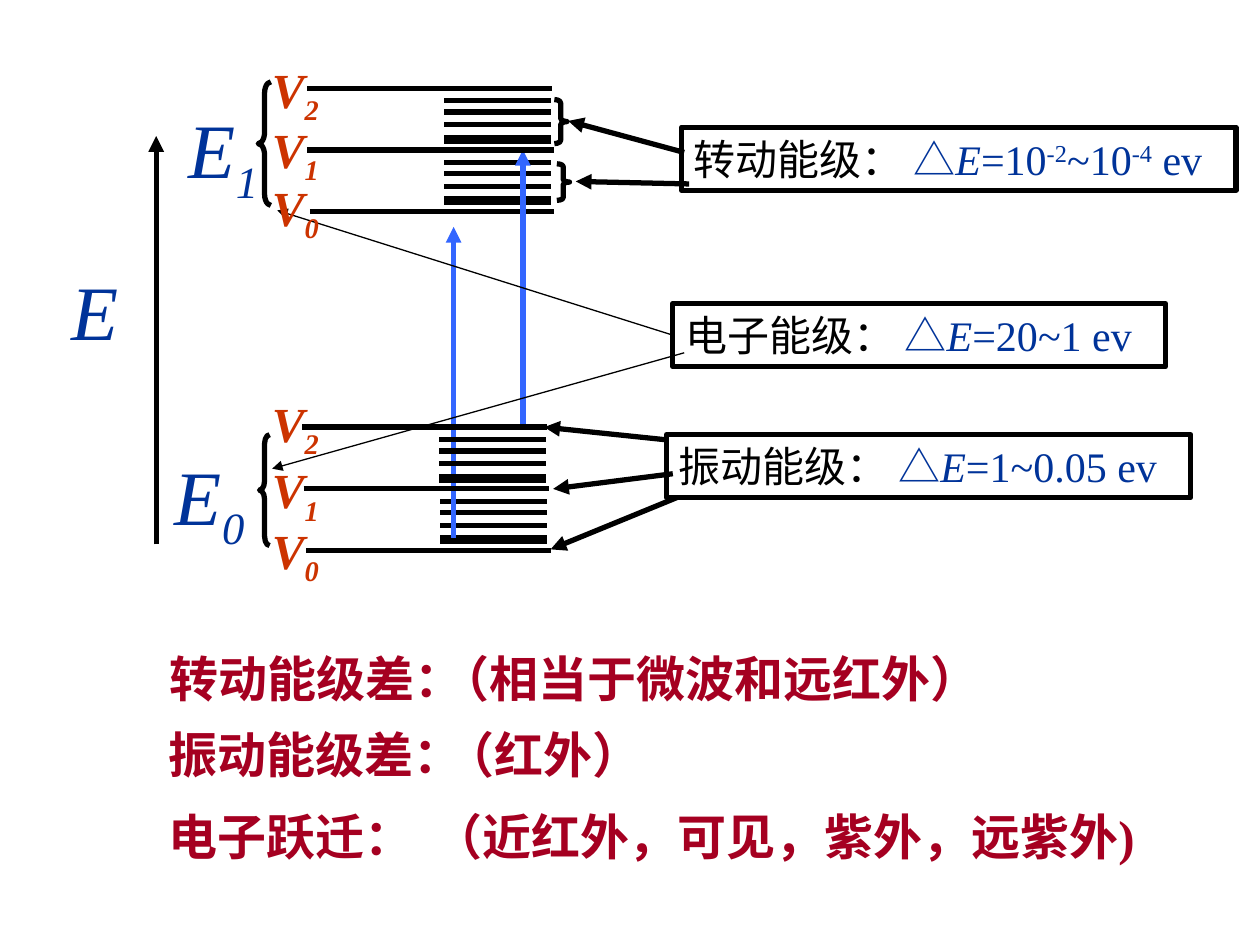
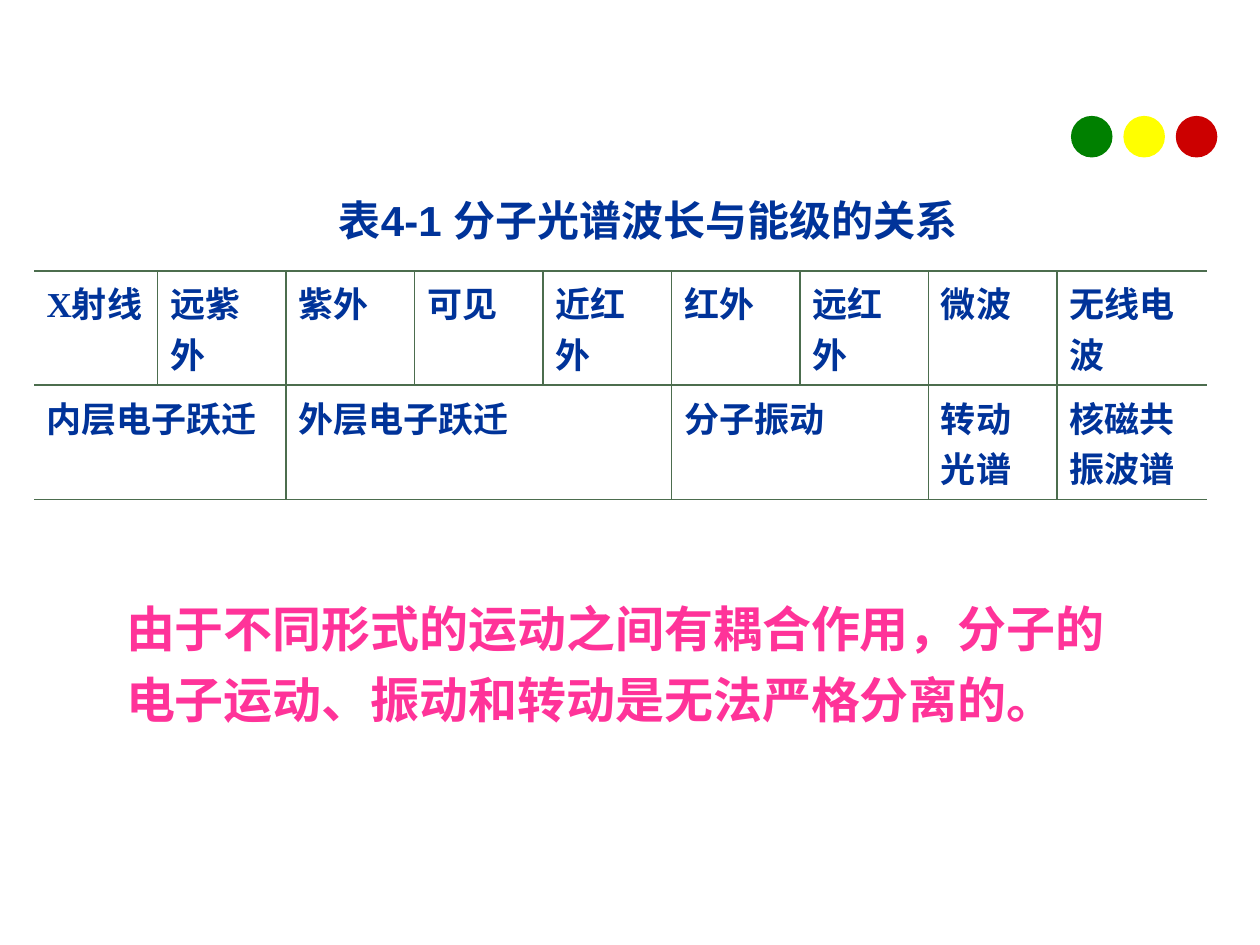
from lxml.etree import SubElement
from pptx import Presentation
from pptx.dml.color import RGBColor
from pptx.enum.shapes import MSO_CONNECTOR, MSO_SHAPE as SHAPE
from pptx.enum.text import MSO_ANCHOR as ANCHOR, MSO_AUTO_SIZE as FIT, PP_ALIGN
from pptx.oxml.ns import qn
from pptx.util import Inches, Pt

BLACK = RGBColor(0x00, 0x00, 0x00)
NAVY = RGBColor(0x00, 0x33, 0x99)
BLUE = RGBColor(0x33, 0x66, 0xFF)
ORANGE = RGBColor(0xCC, 0x33, 0x00)
CRIMSON = RGBColor(0xA5, 0x00, 0x21)
PINK = RGBColor(0xFF, 0x33, 0x99)
LIGHTS = [RGBColor(0x00, 0x80, 0x00), RGBColor(0xFF, 0xFF, 0x00), RGBColor(0xCC, 0x00, 0x00)]
RULE = "4C6D4E"

SERIF, SANS = "Times New Roman", "Arial"
COLS, ROWS = 100, 75  # grid of the slide
BLANK, TITLE_BODY = 6, 1


class Deck:
    """Holds the style and the current slide; all lengths are grid columns and rows."""

    def __init__(self):
        self.prs = Presentation()
        self.prs.slide_width, self.prs.slide_height = Inches(10), Inches(7.5)
        self.s = None

    def slide(self, layout):
        self.s = self.prs.slides.add_slide(self.prs.slide_layouts[layout])

    def x(self, cols):
        return round(self.prs.slide_width * cols / COLS)

    def y(self, rows):
        return round(self.prs.slide_height * rows / ROWS)

    def box(self, at):
        return self.x(at[0]), self.y(at[1]), self.x(at[2]), self.y(at[3])

    def style(self, r, size, color, bold=False, italic=False, font=SERIF, base=0):
        f = r.font
        f.name, f.size, f.bold, f.italic = font, Pt(size), bold, italic
        f.color.rgb = color
        if base:
            r._r.get_or_add_rPr().set("baseline", str(base * 1000))

    def add_runs(self, sp, runs, size, wrap=False, **look):
        """Fill a shape with runs, each a text and what differs from the look."""
        tf = sp.text_frame
        tf.word_wrap, tf.auto_size = wrap, FIT.SHAPE_TO_FIT_TEXT
        tf.vertical_anchor = ANCHOR.TOP
        p = tf.paragraphs[0]
        p.alignment = PP_ALIGN.LEFT
        for text, change in runs:
            r = p.add_run()
            r.text = text
            self.style(r, size, **{**look, **change})

    def text(self, at, runs, size, **look):
        self.add_runs(self.s.shapes.add_textbox(*self.box(at)), runs, size, **look)

    def shape(self, kind, at, fill=None, line=None):
        sp = self.s.shapes.add_shape(kind, *self.box(at))
        sp.shadow.inherit = False
        if fill is None:
            sp.fill.background()
        else:
            sp.fill.solid()
            sp.fill.fore_color.rgb = fill
        if line is None:
            sp.line.fill.background()
        else:
            sp.line.color.rgb, sp.line.width = line, Pt(3)
        return sp

    def brace(self, kind, at, curve):
        self.shape(kind, at, line=BLACK).adjustments[0] = curve

    def line(self, x1, y1, x2, y2, color=BLACK, width=3, arrow=False):
        c = self.s.shapes.add_connector(
            MSO_CONNECTOR.STRAIGHT, self.x(x1), self.y(y1), self.x(x2), self.y(y2))
        c.line.color.rgb, c.line.width = color, Pt(width)
        if arrow:
            SubElement(c.line._get_or_add_ln(), qn("a:tailEnd"), type="triangle")
        SubElement(c._element.spPr, qn("a:effectLst"))
        return c

    def placeholder(self, sp, at, text, size, color, font, anchor):
        sp.left, sp.top, sp.width, sp.height = self.box(at)
        tf = sp.text_frame
        tf.text = text
        tf.word_wrap, tf.auto_size, tf.vertical_anchor = True, FIT.NONE, anchor
        p = tf.paragraphs[0]
        p.alignment = PP_ALIGN.LEFT
        self.style(p.runs[0], size, color, bold=True, font=font)
        return p

    def indent(self, p, left, first):
        """Set the indents and take the bullet away."""
        pPr = p._p.get_or_add_pPr()
        pPr.set("marL", str(self.x(left)))
        pPr.set("indent", str(self.x(first)))
        SubElement(pPr, qn("a:buNone"))

    def borders(self, cell, sides):
        tcPr = cell._tc.get_or_add_tcPr()
        for side in "LRTB":
            ln = SubElement(tcPr, qn(f"a:ln{side}"), w=str(Pt(1.08)))
            if side in sides:
                SubElement(SubElement(ln, qn("a:solidFill")), qn("a:srgbClr"), val=RULE)
            else:
                SubElement(ln, qn("a:noFill"))

    def table(self, at, widths, heights, rows):
        """Each row is a list of (text, columns spanned)."""
        t = self.s.shapes.add_table(len(rows), len(widths), *self.box(at)).table
        t.first_row = t.horz_banding = False
        for col, w in zip(t.columns, widths):
            col.width = self.x(w)
        for row, h in zip(t.rows, heights):
            row.height = self.y(h)
        for i, row in enumerate(rows):
            j = 0
            for text, span in row:
                cell, end = t.cell(i, j), j + span
                if span > 1:
                    cell.merge(t.cell(i, end - 1))
                cell.text = text
                self.style(cell.text_frame.paragraphs[0].runs[0], 20, NAVY, bold=True)
                inner = ("L" if j else "") + ("R" if end < len(widths) else "")
                self.borders(cell, "TB" + inner)
                cell.fill.background()
                j = end


def vibration_band(d, x, y):
    """Two vibrational levels with the rotational levels between them."""
    for dy in (1, 1.9, 2.9, 3.9, 4.2):
        d.line(x + 10.85, y + dy, x + 19.35, y + dy)
    for dx, dy in ((0, 0), (0.2, 4.9)):
        d.line(x + dx, y + dy, x + dx + 19.4, y + dy)


def energy_levels(d):
    d.slide(BLANK)

    # Wavelength range of each kind of transition
    ranges = [
        (12.5, 51, "转动能级差：", 34, 45.8, "（相当于微波和远红外）"),
        (12.4, 57, "振动能级差：", 34.4, 21.9, "（红外）"),
        (12.4, 63.5, "电子跃迁：", 33.4, 63.9, "（近红外，可见，紫外，远紫外)"),
    ]
    for x, y, label, range_x, w, span in ranges:
        d.text((x, y, 25.3, 5.7), [(label, {})], 28, color=CRIMSON, bold=True)
        d.text((range_x, y, w, 5.7), [(span, {})], 28, wrap=True, color=CRIMSON, bold=True)

    # Levels, with the transitions between the two states
    vibration_band(d, 24.4, 11.9)
    vibration_band(d, 24.1, 38.8)
    d.line(41.5, 33.9, 41.5, 11.9, BLUE, arrow=True)
    d.line(36, 42.7, 36, 18, BLUE, arrow=True)
    vibration_band(d, 24, 33.9)
    vibration_band(d, 24.4, 7)

    # Energy axis
    d.line(12.4, 43.2, 12.4, 10.8, arrow=True)
    d.text((4.7, 20.4, 5.7, 8.4), [("E", {})], 44, color=NAVY, italic=True)

    # Braces around states and rotational levels
    d.brace(SHAPE.LEFT_BRACE, (20.5, 6.5, 1, 9.8), 0.9)
    d.brace(SHAPE.LEFT_BRACE, (20.6, 34.5, 0.8, 8.8), 0.9)
    d.brace(SHAPE.RIGHT_BRACE, (44, 7.9, 1, 3.5), 0.27)
    d.brace(SHAPE.RIGHT_BRACE, (44.2, 13, 1, 2.9), 0.22)

    # Energy gap of each kind of level
    up = {"base": 30}
    gaps = [
        ("转动", (54.1, 10.1, 44, 5), [("=10", {}), ("-2", up), ("~10", {}), ("-4", up), (" ev", {})]),
        ("电子", (53.4, 24.1, 39.1, 5), [("=20~1 ev", {})]),
        ("振动", (52.9, 34.5, 41.6, 5), [("=1~0.05 ev", {})]),
    ]
    boxes = {}
    for kind, at, value in gaps:
        boxes[kind] = d.shape(SHAPE.RECTANGLE, at, line=BLACK)
        runs = [(f"{kind}能级： ", {"color": BLACK}), ("△", {}), ("E", {"italic": True})]
        d.add_runs(boxes[kind], runs + value, 24, color=NAVY)

    # Pointers from the boxes to the levels
    for ends in [(52.8, 34.9, 43.2, 33.9), (53.4, 37.6, 43.9, 38.8), (53.7, 39.5, 43.7, 43.6),
                 (54.3, 12.1, 45.1, 9.6), (54.7, 14.6, 45.7, 14.4)]:
        d.line(*ends, arrow=True)
    to_upper = d.line(53.4, 26.6, 22, 16.7, width=0.75, arrow=True)
    to_upper.begin_connect(boxes["电子"], 1)
    d.line(54.3, 28, 21.6, 37.2, width=0.75, arrow=True)

    # Names of the states and their vibrational levels
    states = [("0", 12.9, 35.1, (40.8, 36, 30.7)), ("1", 14, 7.6, (13.6, 9, 4.2))]
    for state, x, y, levels in states:
        for v, top in enumerate(levels):
            d.text((20.6, top, 5.7, 6.3), [("V", {}), (str(v), {"base": -25})], 28,
                   wrap=True, color=ORANGE, bold=True, italic=True)
        d.text((x, y, 7.5, 9.4), [("E", {}), (state, {"base": -25})], 44,
               color=NAVY, italic=True)


def spectrum_table(d):
    d.slide(TITLE_BODY)

    # Three lights in the corner
    for i, color in enumerate(LIGHTS):
        d.shape(SHAPE.OVAL, (85 + 4.16 * i, 9.2, 3.3, 3.3), fill=color)

    # Title
    p = d.placeholder(d.s.shapes.title, (22.2, 14.9, 60.8, 5),
                      "表4-1 分子光谱波长与能级的关系", 24, NAVY, SANS, ANCHOR.TOP)
    p.space_before = Pt(6)
    d.indent(p, 7.3, -3.6)

    # Spectral regions over the motions behind them
    regions = ["X射线", "远紫外", "紫外", "可见", "近红外", "红外", "远红外", "微波", "无线电波"]
    motions = [("内层电子跃迁", 2), ("外层电子跃迁", 3), ("分子振动", 2),
               ("转动光谱", 1), ("核磁共振波谱", 1)]
    d.table((2.7, 21.5, 93, 17.3), [9.8] + [10.2] * 7 + [11.9], [8.5, 8.8],
            [[(name, 1) for name in regions], motions])

    # Conclusion
    p = d.placeholder(d.s.placeholders[1], (9, 46.1, 80.9, 12.2),
                      "由于不同形式的运动之间有耦合作用，分子的电子运动、振动和转动是无法严格分离的。",
                      28, PINK, SERIF, ANCHOR.MIDDLE)
    p.line_spacing, p.space_before = 1.2, Pt(17.5)
    d.indent(p, 0, 0)


def main():
    d = Deck()
    energy_levels(d)
    spectrum_table(d)
    d.prs.save("out.pptx")


if __name__ == "__main__":
    main()
